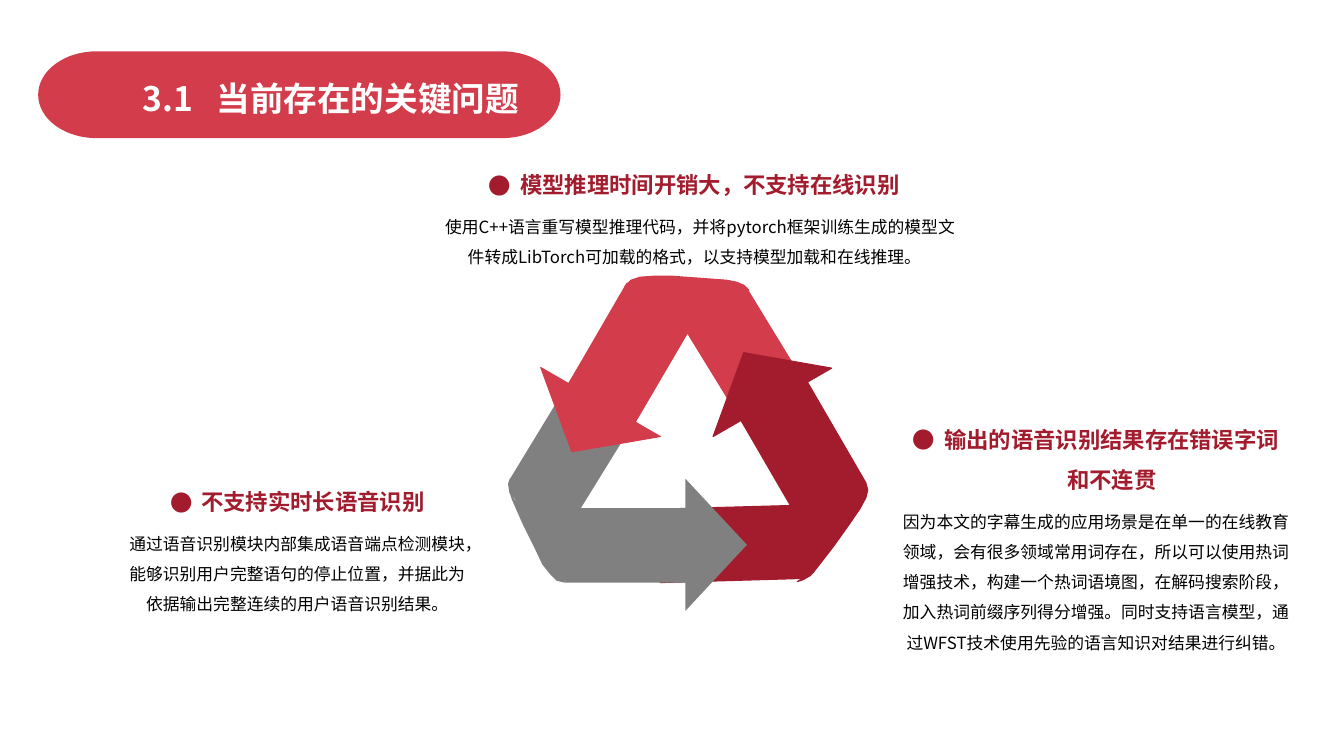
from math import cos, pi, sin

from lxml.etree import SubElement
from pptx import Presentation
from pptx.dml.color import RGBColor
from pptx.enum.shapes import MSO_SHAPE as Preset
from pptx.enum.text import MSO_AUTO_SIZE as AutoSize, PP_ALIGN as Align
from pptx.oxml.ns import qn
from pptx.util import Inches, Pt

COLORS = {
    "red": "D23C4B",
    "dark": "A31C2D",
    "gray": "808080",
    "white": "FFFFFF",
    "black": "000000",
}
FONT = "Noto Sans CJK SC"
CELL = Inches(0.1)


def cells(count):
    return round(count * CELL)


class Deck:
    def __init__(self, columns, rows):
        self.deck = Presentation()
        self.deck.slide_width = cells(columns)
        self.deck.slide_height = cells(rows)
        self.slide = self.deck.slides.add_slide(self.deck.slide_layouts[6])
        self.shapes = self.slide.shapes

    def paint(self, shape, color, outline):
        shape.shadow.inherit = False
        shape.fill.solid()
        shape.fill.fore_color.rgb = RGBColor.from_string(COLORS[color])
        if outline:
            shape.line.color.rgb = RGBColor.from_string(COLORS[color])
            shape.line.width = Pt(outline)
        else:
            shape.line.fill.background()

    def outline(self, points, color, outline=0):
        corners = [(cells(x), cells(y)) for x, y in points]
        builder = self.shapes.build_freeform(*corners[0], scale=1.0)
        builder.add_line_segments(corners[1:], close=True)
        self.paint(builder.convert_to_shape(), color, outline)

    def pill(self, left, top, width, height, cap, color, outline):
        middle, radius = top + height / 2, height / 2
        angles = [pi * step / 32 for step in range(33)]
        right_end = [(left + width - cap + cap * sin(a), middle - radius * cos(a)) for a in angles]
        left_end = [(left + cap - cap * sin(a), middle + radius * cos(a)) for a in angles]
        self.outline(right_end + left_end, color, outline)

    def arrowhead(self, box, turn, color, outline):
        head = self.shapes.add_shape(Preset.ISOSCELES_TRIANGLE, *map(cells, box))
        head.rotation = turn
        self.paint(head, color, outline)

    def frame(self, box):
        frame = self.shapes.add_textbox(*map(cells, box)).text_frame
        frame.word_wrap = True
        frame.auto_size = AutoSize.SHAPE_TO_FIT_TEXT
        return frame

    def style(self, paragraph, size, color, bold):
        for run in paragraph.runs:
            run.font.size = Pt(size)
            run.font.bold = bold
            run.font.name = FONT
            run.font.color.rgb = RGBColor.from_string(COLORS[color])
            SubElement(run.font._element, qn("a:ea"), typeface=FONT)

    def title(self, box, text, tab):
        frame = self.frame(box)
        frame.text = text
        heading = frame.paragraphs[0]
        tabs = SubElement(heading._p.get_or_add_pPr(), qn("a:tabLst"))
        SubElement(tabs, qn("a:tab"), pos=str(cells(tab)), algn="l")
        self.style(heading, 24, "white", True)

    def issue(self, box, problem, remedy, indent=0):
        frame = self.frame(box)
        frame.text = f"{problem}\n{remedy}"
        for paragraph in frame.paragraphs:
            paragraph.alignment = Align.CENTER
            paragraph.line_spacing = 1.5
            paragraph.space_after = Pt(6)
        heading, body = frame.paragraphs
        props = heading._p.get_or_add_pPr()
        props.set("marL", str(cells(3.1)))
        props.set("indent", str(-cells(3.1)))
        SubElement(SubElement(props, qn("a:buClr")), qn("a:srgbClr"), val=COLORS["dark"])
        SubElement(props, qn("a:buFont"), typeface=FONT)
        SubElement(props, qn("a:buChar"), char="●")
        body._p.get_or_add_pPr().set("indent", str(cells(indent)))
        self.style(heading, 16, "dark", True)
        self.style(body, 12, "black", False)

    def arrow(self, color, outline, tail, head, turn, arm, corner):
        self.outline(tail, color, outline)
        if color == "gray":
            return
        self.arrowhead(head, turn, color, outline)
        self.outline(arm, color, outline)
        self.outline(corner, color, outline)


GRAY_TAIL = [(64.3, 39.6), (55.1, 54.5), (50.5, 48.8), (50.6, 47.5), (57.6, 36)]
GRAY_CORNER = [
    (56, 50.4), (56, 57.8), (55.2, 57.6), (54.6, 57), (53.8, 56), (53, 54.3),
    (51.9, 52.1), (50.8, 49.6), (50.5, 48.7), (50.4, 48), (50.6, 47.4),
    (50.6, 48.4), (51, 49.5), (51.8, 50.2), (53.2, 50.4),
]
GRAY_ARM = [(70.5, 50.4), (55.4, 50.4), (55.5, 54.2), (56, 57.8), (70.5, 57.8)]

RED = dict(
    tail=[(75, 44.1), (65.6, 28.8), (73, 28), (74.2, 28.8), (81.4, 40.6)],
    head=(51.3, 39.5, 13.7, 5.7),
    turn=210,
    arm=[(61.9, 43.8), (69.1, 31.5), (65.7, 29.5), (62.2, 28.1), (55.3, 40)],
    corner=[
        (68.6, 32.2), (62, 28.4), (62.6, 27.8), (63.5, 27.5), (64.8, 27.4),
        (66.7, 27.4), (69.4, 27.6), (72.1, 27.8), (73.1, 28), (73.8, 28.3),
        (74.3, 28.8), (73.6, 28.4), (73, 28.2), (72.1, 28.1), (71.1, 28.5),
        (70.2, 29.6),
    ],
)
DARK = dict(
    tail=[(65.7, 50.5), (83.7, 50), (80.7, 56.8), (79.4, 57.4), (65.5, 57.8)],
    head=(68.4, 34.6, 13.6, 5.7),
    turn=330,
    arm=[(72.4, 39.8), (79.6, 52.2), (82.9, 50.2), (85.9, 47.9), (79, 36)],
    corner=[
        (79.3, 51.7), (85.9, 47.9), (86.1, 48.6), (85.9, 49.4), (85.3, 50.5),
        (84.2, 52.1), (82.7, 54.2), (81, 56.4), (80.4, 57.1), (79.7, 57.5),
        (79.1, 57.7), (80, 57.1), (80.6, 56.6), (80.9, 55.7), (80.9, 54.6),
        (80.6, 54),
    ],
)


def main():
    deck = Deck(133.33, 75)
    deck.outline(GRAY_TAIL, "gray")
    deck.arrow("red", 0.75, **RED)
    deck.arrow("dark", 0.75, **DARK)
    deck.outline(GRAY_CORNER, "gray")
    deck.arrowhead((64.5, 51, 13.1, 6.1), 90, "gray", 0)
    deck.outline(GRAY_ARM, "gray")

    deck.pill(4, 5.3, 51.4, 8.2, 5.6, "red", 3)
    deck.title((13.2, 7.2, 41.5, 5), "3.1\t当前存在的关键问题", 7.3)

    deck.issue(
        (41.4, 15.2, 55, 11.8),
        "模型推理时间开销大，不支持在线识别",
        "使用C++语言重写模型推理代码，并将pytorch框架训练生成的模型文件转成LibTorch可加载的格式，以支持模型加载和在线推理。",
        indent=1.1,
    )
    deck.issue(
        (11.3, 46.6, 36.4, 14.8),
        "不支持实时长语音识别",
        "通过语音识别模块内部集成语音端点检测模块，能够识别用户完整语句的停止位置，并据此为依据输出完整连续的用户语音识别结果。",
    )
    deck.issue(
        (88.6, 40.4, 40.3, 27.8),
        "输出的语音识别结果存在错误字词和不连贯",
        "因为本文的字幕生成的应用场景是在单一的在线教育领域，会有很多领域常用词存在，所以可以使用热词增强技术，构建一个热词语境图，在解码搜索阶段，加入热词前缀序列得分增强。同时支持语言模型，通过WFST技术使用先验的语言知识对结果进行纠错。",
    )
    deck.deck.save("out.pptx")


if __name__ == "__main__":
    main()
